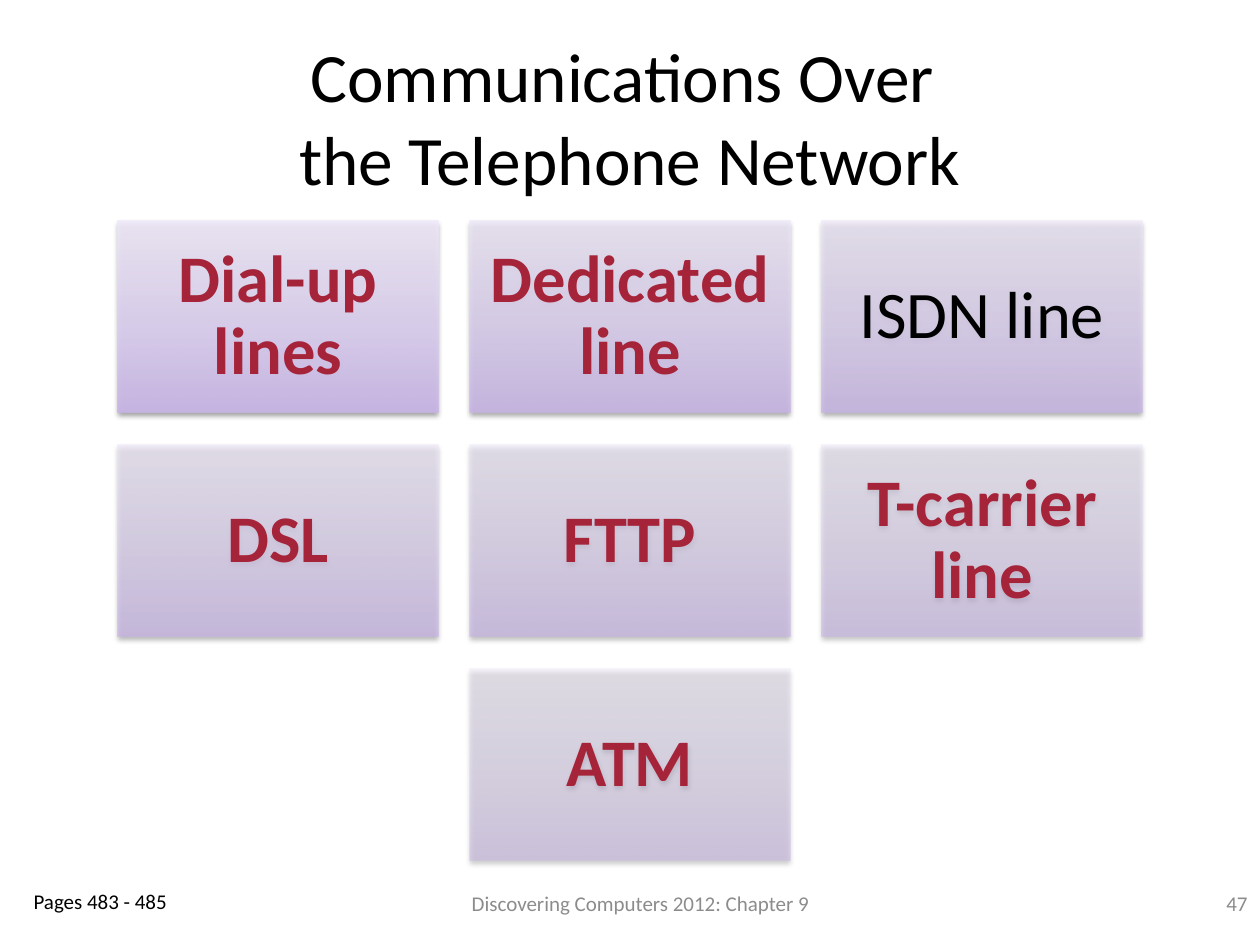
"""Build the slide on communications over the telephone network."""
from dataclasses import dataclass

from lxml.etree import SubElement
from pptx import Presentation
from pptx.dml.color import RGBColor
from pptx.enum.shapes import MSO_SHAPE
from pptx.enum.text import MSO_ANCHOR, MSO_AUTO_SIZE, PP_ALIGN
from pptx.oxml import parse_xml
from pptx.oxml.ns import nsdecls, qn
from pptx.util import Emu, Pt

TITLE = "Communications Over \vthe Telephone Network"
LINE_ROWS = [
    ["Dial-up lines", "Dedicated line", "ISDN line"],
    ["DSL", "FTTP", "T-carrier line"],
    ["ATM"],
]
PLAIN_LINE = "ISDN line"
PAGES = "Pages 483 - 485"
FOOTER = "Discovering Computers 2012: Chapter 9"
SLIDE_NUMBER = "47"

SLIDE_W, SLIDE_H = 1260, 945
CARD_W, CARD_H, CARD_GAP, CARDS_TOP, CARD_INSET = 320, 192, 32, 221, 20
PAGES_INDENT = 48
FIRST_ALPHA, LAST_ALPHA = 90, 50


@dataclass(frozen=True)
class Theme:
    font: str = "Calibri"
    ink: str = "000000"
    accent: str = "A52439"
    muted: str = "8C8C8C"
    gradient: tuple = ((0, "C9B5E8"), (35, "D8CBEE"), (100, "F0EAF9"))
    title_size: float = 39.6
    card_size: float = 38
    small_size: float = 12


THEME = Theme()


def px(length):
    return Emu(round(length * 914400 / 126))


def place(part, left, top, width, height):
    part.left, part.top = px(left), px(top)
    part.width, part.height = px(width), px(height)


def write(part, text, size, color, align, bold=False, anchor=MSO_ANCHOR.MIDDLE):
    frame = part.text_frame
    frame.text = text
    frame.word_wrap = True
    frame.auto_size = MSO_AUTO_SIZE.NONE
    frame.vertical_anchor = anchor
    paragraph = frame.paragraphs[0]
    paragraph.alignment = align
    paragraph.space_before = Pt(0)
    for run in paragraph.runs:
        run.font.name = THEME.font
        run.font.size = Pt(size)
        run.font.bold = bold
        run.font.color.rgb = RGBColor.from_string(color)
    return paragraph


def fill_gradient(card, alpha):
    stops = "".join(
        f'<a:gs pos="{position * 1000}"><a:srgbClr val="{color}">'
        f'<a:alpha val="{alpha * 1000}"/></a:srgbClr></a:gs>'
        for position, color in THEME.gradient
    )
    gradient = parse_xml(
        f'<a:gradFill {nsdecls("a")} rotWithShape="1"><a:gsLst>{stops}</a:gsLst>'
        '<a:lin ang="16200000" scaled="0"/></a:gradFill>'
    )
    card.fill.background()
    properties = card.element.spPr
    properties.replace(properties.find(qn("a:noFill")), gradient)


def cast_shadow(card):
    card.shadow.inherit = False
    effects = card.element.spPr.find(qn("a:effectLst"))
    shadow = SubElement(effects, qn("a:outerShdw"), blurRad="40000",
                        dist="20000", dir="5400000", rotWithShape="0")
    color = SubElement(shadow, qn("a:srgbClr"), val=THEME.ink)
    SubElement(color, qn("a:alpha"), val="38000")


def add_card(slide, text, left, top, alpha):
    card = slide.shapes.add_shape(
        MSO_SHAPE.RECTANGLE, px(left), px(top), px(CARD_W), px(CARD_H))
    fill_gradient(card, alpha)
    card.line.fill.background()
    cast_shadow(card)
    plain = text == PLAIN_LINE
    paragraph = write(card, text, THEME.card_size,
                      THEME.ink if plain else THEME.accent,
                      PP_ALIGN.CENTER, bold=not plain)
    paragraph.line_spacing = 0.9
    frame = card.text_frame
    frame.margin_left = frame.margin_right = px(CARD_INSET)
    frame.margin_top = frame.margin_bottom = px(CARD_INSET)


def add_cards(slide):
    last = sum(map(len, LINE_ROWS)) - 1
    index = 0
    for row, names in enumerate(LINE_ROWS):
        row_width = len(names) * (CARD_W + CARD_GAP) - CARD_GAP
        row_left = (SLIDE_W - row_width) / 2
        for column, name in enumerate(names):
            alpha = round(FIRST_ALPHA + (LAST_ALPHA - FIRST_ALPHA) * index / last)
            add_card(slide, name, row_left + column * (CARD_W + CARD_GAP),
                     CARDS_TOP + row * (CARD_H + CARD_GAP), alpha)
            index += 1


def add_caption(slide, text, box, align):
    caption = slide.shapes.add_textbox(*map(px, box))
    write(caption, text, THEME.small_size, THEME.muted, align)


def main():
    deck = Presentation()
    deck.slide_width, deck.slide_height = px(SLIDE_W), px(SLIDE_H)
    slide = deck.slides.add_slide(deck.slide_layouts[1])

    title = slide.shapes.title
    place(title, 63, 38, 1134, 157)
    write(title, TITLE, THEME.title_size, THEME.ink, PP_ALIGN.CENTER)

    add_cards(slide)
    add_caption(slide, FOOTER, (378, 872, 525, 63), PP_ALIGN.CENTER)
    add_caption(slide, SLIDE_NUMBER, (1176, 861, 84, 84), PP_ALIGN.RIGHT)

    pages = slide.placeholders[1]
    place(pages, 21, 882, 231, 63)
    paragraph = write(pages, PAGES, THEME.small_size, THEME.ink,
                      PP_ALIGN.LEFT, anchor=MSO_ANCHOR.TOP)
    properties = paragraph._p.get_or_add_pPr()
    properties.set("marL", str(px(PAGES_INDENT)))
    properties.set("indent", str(-px(PAGES_INDENT)))
    SubElement(properties, qn("a:buNone"))

    deck.save("out.pptx")


if __name__ == "__main__":
    main()
